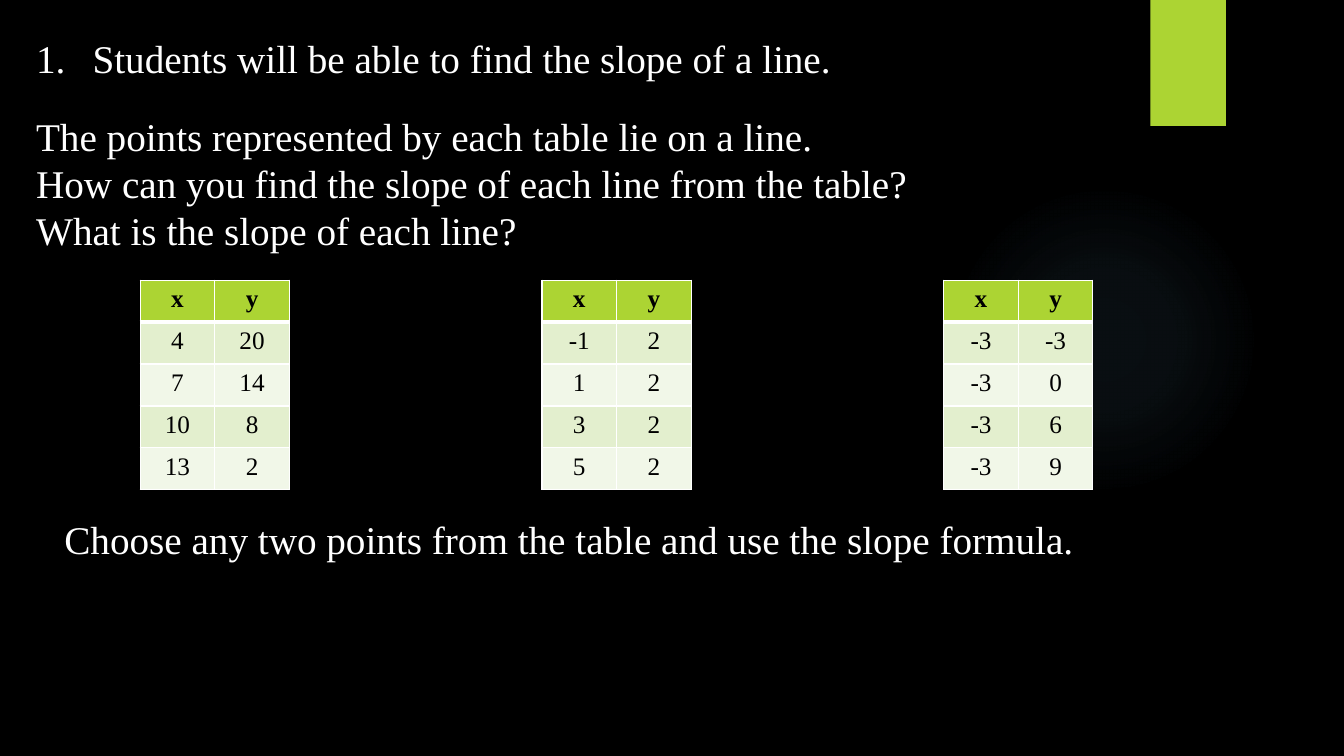
from pptx import Presentation
from pptx.dml.color import RGBColor
from pptx.enum.shapes import MSO_SHAPE
from pptx.enum.text import MSO_AUTO_SIZE, PP_ALIGN
from pptx.oxml import parse_xml
from pptx.oxml.ns import nsdecls
from pptx.util import Inches, Pt

# Content
FONT = "Times New Roman"
COLORS = {"back": "000000", "text": "FFFFFF", "ink": "000000", "rule": "FFFFFF",
          "green": "ACD433", "odd": "E3EFCE", "even": "F1F7E8", "glow": "7AC4F0"}
GOAL = ["Students will be able to find the slope of a line."]
TASK = ["The points represented by each table lie on a line.",
        "How can you find the slope of each line from the table?",
        "What is the slope of each line?"]
HINT = ["Choose any two points from the table and use the slope formula."]
HEAD = ("x", "y")
TABLES = [
    [(4, 20), (7, 14), (10, 8), (13, 2)],
    [(-1, 2), (1, 2), (3, 2), (5, 2)],
    [(-3, -3), (-3, 0), (-3, 6), (-3, 9)],
]
GLOW = [(0, 7), (36, 6), (69, 0)]  # stop and opacity, percent

# Layout in inches
LEFT, TOP, STEP = 1.39, 2.78, 3.985
COL, ROW = 0.74, 0.416

prs = Presentation()
prs.slide_width, prs.slide_height = Inches(13.33), Inches(7.5)
slide = prs.slides.add_slide(prs.slide_layouts[6])


def color(name):
    return RGBColor.from_string(COLORS[name])


def paint(fill, name):
    fill.solid()
    fill.fore_color.rgb = color(name)


def add_run(para, text, size, name, bold=False):
    run = para.add_run()
    run.text = text
    font = run.font
    font.name, font.size, font.bold = FONT, Pt(size), bold
    font.color.rgb = color(name)


def add_plain(kind, *box):
    shape = slide.shapes.add_shape(kind, *map(Inches, box))
    shape.shadow.inherit = False
    shape.line.fill.background()
    return shape


def add_text(lines, *box, number=False):
    frame = slide.shapes.add_textbox(*map(Inches, box)).text_frame
    frame.word_wrap = True
    frame.auto_size = MSO_AUTO_SIZE.SHAPE_TO_FIT_TEXT
    for i, line in enumerate(lines):
        para = frame.add_paragraph() if i else frame.paragraphs[0]
        if number:
            props = para._p.get_or_add_pPr()
            props.set("marL", str(Inches(0.56)))
            props.set("indent", str(Inches(-0.56)))
            props.append(parse_xml(f'<a:buFont {nsdecls("a")} typeface="{FONT}"/>'))
            props.append(parse_xml(f'<a:buAutoNum {nsdecls("a")} type="arabicPeriod"/>'))
        add_run(para, line, 28, "text")


def add_rules(cell, row):
    widths = {"L": 1, "R": 1, "T": 3 if row == 1 else 1, "B": 3 if row == 0 else 1}
    props = cell._tc.get_or_add_tcPr()
    for side, width in widths.items():
        props.append(parse_xml(
            f'<a:ln{side} {nsdecls("a")} w="{Pt(width)}"><a:solidFill>'
            f'<a:srgbClr val="{COLORS["rule"]}"/></a:solidFill></a:ln{side}>'))


def add_grid(points, left):
    rows = [HEAD, *points]
    table = slide.shapes.add_table(
        len(rows), len(HEAD), Inches(left), Inches(TOP),
        Inches(COL * len(HEAD)), Inches(ROW * len(rows))).table
    for col in table.columns:
        col.width = Inches(COL)
    for r, values in enumerate(rows):
        table.rows[r].height = Inches(ROW)
        for c, value in enumerate(values):
            cell = table.cell(r, c)
            add_rules(cell, r)
            paint(cell.fill, "green" if r == 0 else "odd" if r % 2 else "even")
            para = cell.text_frame.paragraphs[0]
            para.alignment = PP_ALIGN.CENTER
            add_run(para, str(value), 18, "ink", bold=r == 0)


# Background, soft glow and green tab
paint(slide.background.fill, "back")
glow = add_plain(MSO_SHAPE.OVAL, 9.41, 1.83, 3.08, 3.08)
stops = "".join(
    f'<a:gs pos="{pos * 1000}"><a:srgbClr val="{COLORS["glow"]}">'
    f'<a:alpha val="{alpha * 1000}"/></a:srgbClr></a:gs>' for pos, alpha in GLOW)
glow._element.spPr.insert(2, parse_xml(
    f'<a:gradFill {nsdecls("a")}><a:gsLst>{stops}</a:gsLst><a:path path="circle">'
    '<a:fillToRect l="50000" t="50000" r="50000" b="50000"/></a:path></a:gradFill>'))
paint(add_plain(MSO_SHAPE.RECTANGLE, 11.41, 0, 0.75, 1.25).fill, "green")

# Goal and questions
add_text(GOAL, 0.26, 0.29, 11.09, 0.57, number=True)
add_text(TASK, 0.26, 1.06, 11.46, 1.51)

# Tables of points
for i, points in enumerate(TABLES):
    add_grid(points, LEFT + i * STEP)

# Hint
add_text(HINT, 0.54, 5.06, 11.46, 0.57)

prs.save("out.pptx")
